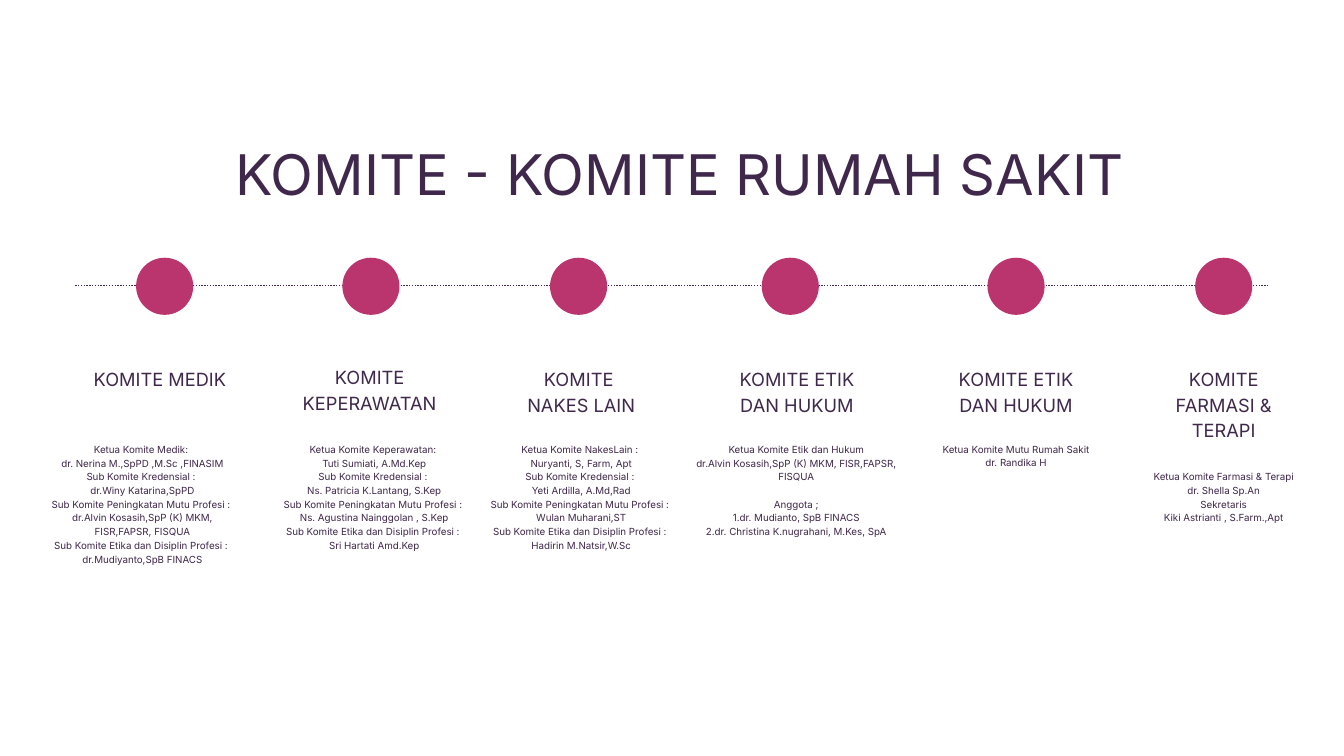
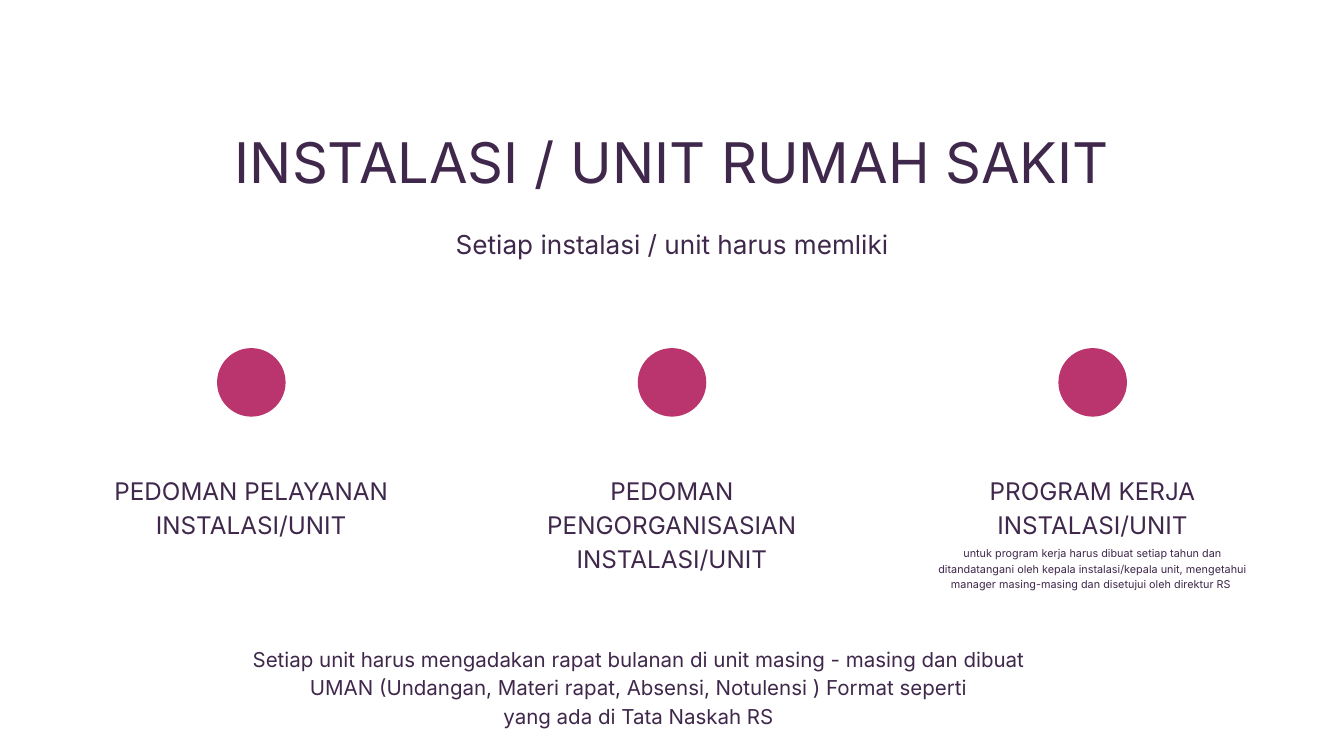
from dataclasses import dataclass

from lxml import etree
from pptx import Presentation
from pptx import util as u
from pptx.dml.color import RGBColor
from pptx.enum import dml, shapes, text
from pptx.oxml.ns import qn

# Shared look
FONT = "Inter"
PLUM = "3F284B"
MAGENTA = "BA356D"

# Grid of 20 columns by 11.25 rows
SLIDE_WIDTH, SLIDE_HEIGHT = u.Inches(20), u.Inches(11.25)
COLUMNS, ROWS = 20, 11.25


@dataclass
class Committee:
    dot_x: float
    heading: str
    heading_x: float
    members: str
    members_x: float
    members_width: float = 3.18
    members_top: float = 6.57
    heading_width: float = 2.29
    heading_top: float = 5.43


COMMITTEES = [
    Committee(2.45, "KOMITE MEDIK", 2.38,
              "Ketua Komite Medik: \n"
              "dr. Nerina M.,SpPD ,M.Sc ,FINASIM\n"
              "Sub Komite Kredensial : \n"
              "dr.Winy Katarina,SpPD\n"
              "Sub Komite Peningkatan Mutu Profesi : \n"
              "dr.Alvin Kosasih,SpP (K) MKM, FISR,FAPSR, FISQUA\n"
              "Sub Komite Etika dan Disiplin Profesi : \n"
              "dr.Mudiyanto,SpB FINACS", 2.12, 2.71),
    Committee(5.52, "KOMITE KEPERAWATAN", 5.5,
              "Ketua Komite Keperawatan: \n"
              "Tuti Sumiati, A.Md.Kep\n"
              "Sub Komite Kredensial : \n"
              "Ns. Patricia K.Lantang, S.Kep\n"
              "Sub Komite Peningkatan Mutu Profesi : \n"
              "Ns. Agustina Nainggolan , S.Kep\n"
              "Sub Komite Etika dan Disiplin Profesi : \n"
              "Sri Hartati Amd.Kep", 5.57, 2.94,
              heading_width=2.79, heading_top=5.4),
    Committee(8.61, "KOMITE \nNAKES LAIN", 8.65,
              "Ketua Komite NakesLain : \n"
              "Nuryanti, S, Farm, Apt\n"
              "Sub Komite Kredensial : \n"
              "Yeti Ardilla, A.Md,Rad\n"
              "Sub Komite Peningkatan Mutu Profesi : \n"
              "Wulan Muharani,ST\n"
              "Sub Komite Etika dan Disiplin Profesi : \n"
              "Hadirin M.Natsir,W.Sc", 8.65, 3.07),
    Committee(11.76, "KOMITE ETIK DAN HUKUM", 11.86,
              "Ketua Komite Etik dan Hukum\n"
              "dr.Alvin Kosasih,SpP (K) MKM, FISR,FAPSR, FISQUA\n\n"
              "Anggota ;\n"
              "1.dr. Mudianto, SpB FINACS\n"
              "2.dr. Christina K.nugrahani, M.Kes, SpA", 11.85),
    Committee(15.12, "KOMITE ETIK DAN HUKUM", 15.12,
              "Ketua Komite Mutu Rumah Sakit\ndr. Randika H", 15.12),
    Committee(18.21, "KOMITE FARMASI & TERAPI", 18.21,
              "Ketua Komite Farmasi & Terapi\n"
              "dr. Shella Sp.An\n"
              "Sekretaris\n"
              "Kiki Astrianti , S.Farm.,Apt", 18.21, members_top=6.98),
]

REQUIREMENTS = [
    "PEDOMAN PELAYANAN INSTALASI/UNIT",
    "PEDOMAN PENGORGANISASIAN INSTALASI/UNIT",
    "PROGRAM KERJA INSTALASI/UNIT",
]


def col(count):
    return round(SLIDE_WIDTH * count / COLUMNS)


def row(count):
    return round(SLIDE_HEIGHT * count / ROWS)


def colour(hex_code):
    return RGBColor.from_string(hex_code)


def add_words(slide, words, centre, top, width, size, leading=1.4):
    """Centred text; a blank line in words becomes space above a paragraph."""
    groups = [group.split("\n") for group in words.split("\n\n")]
    line_height = u.Pt(round(size * leading, 1))
    height = line_height * sum(map(len, groups))
    box = slide.shapes.add_textbox(col(centre - width / 2), row(top), col(width), height)
    frame = box.text_frame
    frame.margin_left = frame.margin_right = frame.margin_top = frame.margin_bottom = 0
    frame.word_wrap = True
    frame.auto_size = text.MSO_AUTO_SIZE.SHAPE_TO_FIT_TEXT
    frame.text = "\n".join(line for group in groups for line in group)
    for paragraph in frame.paragraphs:
        paragraph.alignment = text.PP_ALIGN.CENTER
        paragraph.line_spacing = line_height
        paragraph.font.name = FONT
        paragraph.font.size = u.Pt(size)
        paragraph.font.color.rgb = colour(PLUM)
    first = 0
    for group in groups[:-1]:
        first += len(group)
        frame.paragraphs[first].space_before = line_height


def add_title(slide, words, centre, top, width):
    add_words(slide, words, centre, top, width, 60, leading=1.2)


def add_dot(slide, centre, middle, diameter):
    dot = slide.shapes.add_shape(
        shapes.MSO_SHAPE.OVAL, col(centre - diameter / 2), row(middle - diameter / 2),
        col(diameter), row(diameter))
    dot.shadow.inherit = False
    dot.fill.solid()
    dot.fill.fore_color.rgb = colour(MAGENTA)
    dot.line.fill.background()


def add_timeline(slide, start, end, level):
    timeline = slide.shapes.add_connector(
        shapes.MSO_CONNECTOR.STRAIGHT, col(start), row(level), col(end), row(level))
    timeline.line.color.rgb = colour(PLUM)
    timeline.line.width = u.Pt(1.5)
    timeline.line.dash_style = dml.MSO_LINE.ROUND_DOT
    etree.SubElement(timeline._element.spPr, qn("a:effectLst"))


def build_committees(slide):
    add_timeline(slide, 1.12, 18.88, 4.25)
    add_title(slide, "KOMITE - KOMITE RUMAH SAKIT", 10.11, 2.08, 17.06)
    for item in COMMITTEES:
        add_dot(slide, item.dot_x, 4.26, 0.85)
        add_words(slide, item.heading, item.heading_x, item.heading_top,
                  item.heading_width, 19.5)
        add_words(slide, item.members, item.members_x, item.members_top,
                  item.members_width, 10.5)


def build_units(slide):
    centre, pitch = COLUMNS / 2, 6.26
    add_title(slide, "INSTALASI / UNIT RUMAH SAKIT", centre, 1.9, 14.72)
    add_words(slide, "Setiap instalasi / unit harus memliki", centre, 3.32, 12.6, 28)

    # Three required documents, evenly spaced about the middle
    for index, requirement in enumerate(REQUIREMENTS):
        place = centre + (index - 1) * pitch
        add_dot(slide, place, 5.69, 1.02)
        add_words(slide, requirement, place, 7.01, 5.23, 26)

    # Remarks on the work programme and the monthly meeting
    add_words(slide,
              "untuk program kerja harus dibuat setiap tahun dan ditandatangani oleh "
              "kepala instalasi/kepala unit, mengetahui manager masing-masing dan "
              "disetujui oleh direktur RS ", centre + pitch, 8.11, 4.77, 11.6)
    add_words(slide,
              "Setiap unit harus mengadakan rapat bulanan di unit masing - masing dan dibuat\n"
              "UMAN (Undangan, Materi rapat, Absensi, Notulensi ) Format seperti\n"
              "yang ada di Tata Naskah RS", 9.5, 9.56, 11.52, 22)


def main():
    deck = Presentation()
    deck.slide_width, deck.slide_height = SLIDE_WIDTH, SLIDE_HEIGHT
    blank = deck.slide_layouts[6]
    for build in (build_committees, build_units):
        build(deck.slides.add_slide(blank))
    deck.save("out.pptx")


if __name__ == "__main__":
    main()
